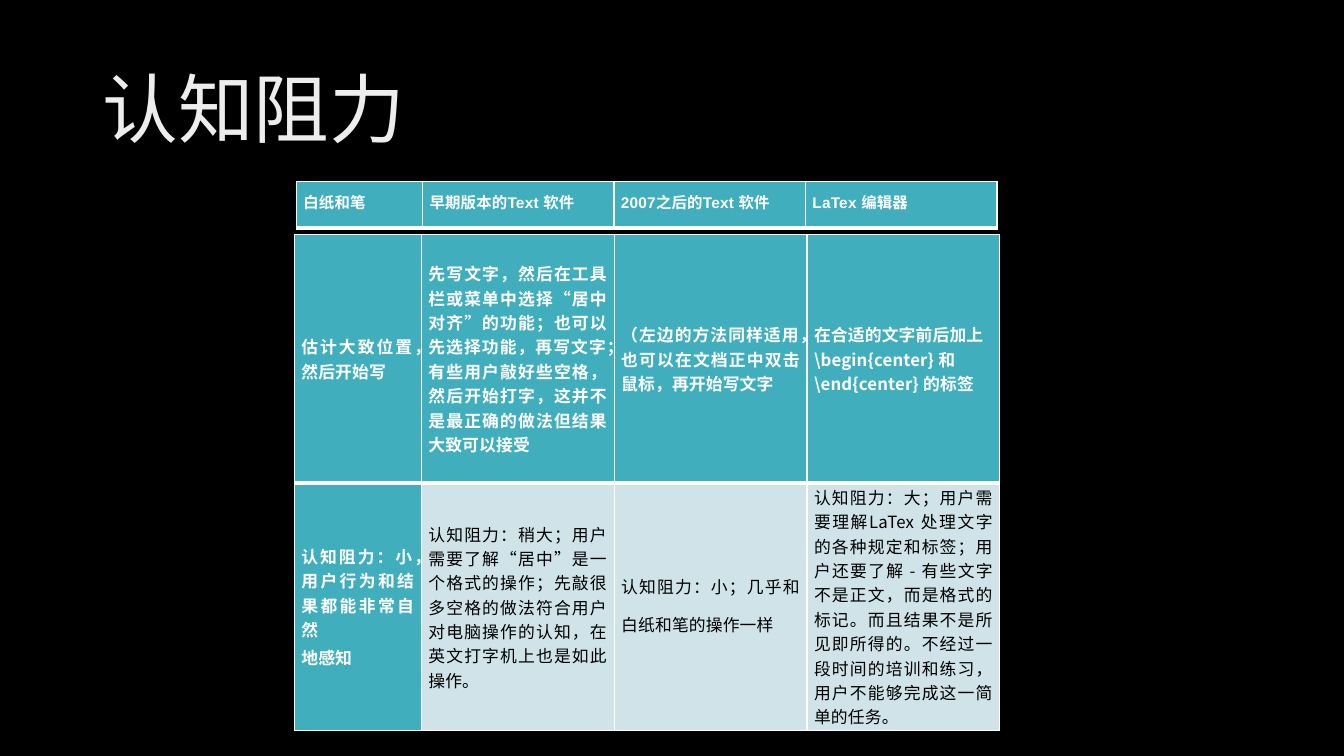
"""Builds the slide that compares the cognitive friction of four writing tools."""
from dataclasses import dataclass

import lxml.etree
import pptx
import pptx.dml.color
import pptx.enum.text
import pptx.oxml.ns
import pptx.util


@dataclass(frozen=True)
class Theme:
    background: str = "000000"
    title: str = "EDEDED"
    white: str = "FFFFFF"
    black: str = "000000"
    teal: str = "41AEBD"
    pale: str = "CFE3E8"
    title_font: str = "Calibri"
    header_font: str = "Arial"
    body_font: str = "Noto Sans CJK SC"
    title_size: float = 54
    header_size: float = 11
    body_size: float = 12
    spacer_size: float = 20
    thin: float = 1
    thick: float = 3
    cell_inset: float = 0.07


@dataclass(frozen=True)
class CellStyle:
    font: str
    size: float
    color: str
    fill: str
    bold: bool
    gap: float
    line_spacing: float = None


THEME = Theme()
HEADER = CellStyle(THEME.header_font, THEME.header_size, THEME.white, THEME.teal, True, 2, 12)
STRONG = CellStyle(THEME.body_font, THEME.body_size, THEME.white, THEME.teal, True, 1.5)
PLAIN = CellStyle(THEME.body_font, THEME.body_size, THEME.black, THEME.pale, False, 1.5)
JUSTIFY = pptx.enum.text.PP_ALIGN.JUSTIFY
LEFT = pptx.enum.text.PP_ALIGN.LEFT
MIDDLE = pptx.enum.text.MSO_ANCHOR.MIDDLE
FIRST_COLUMN_SHARE = 0.18

TOOLS = ["白纸和笔", "早期版本的Text 软件", "2007之后的Text 软件", "LaTex 编辑器"]
METHODS = [
    "估计大致位置，然后开始写",
    "先写文字，然后在工具栏或菜单中选择“居中对齐”的功能；也可以先选择功能，再写文字；"
    "有些用户敲好些空格，然后开始打字，这并不是最正确的做法但结果大致可以接受",
    "（左边的方法同样适用，也可以在文档正中双击鼠标，再开始写文字",
    "在合适的文字前后加上 \\begin{center} 和 \\end{center} 的标签",
]
FRICTION = [
    "认知阻力：小，用户行为和结果都能非常自然\n地感知",
    "认知阻力：稍大；用户需要了解“居中”是一个格式的操作；先敲很多空格的做法符合用户"
    "对电脑操作的认知，在英文打字机上也是如此操作。",
    "认知阻力：小；几乎和白纸和笔的操作一样",
    "认知阻力：大；用户需要理解LaTex 处理文字的各种规定和标签；用户还要了解 - "
    "有些文字不是正文，而是格式的标记。而且结果不是所见即所得的。"
    "不经过一段时间的培训和练习，用户不能够完成这一简单的任务。",
]


def rgb(color):
    return pptx.dml.color.RGBColor.from_string(color)


class SlideBuilder:
    def __init__(self, presentation, theme):
        self.theme = theme
        self.column = presentation.slide_width / 100
        self.row = presentation.slide_height / 100
        self.slide = presentation.slides.add_slide(presentation.slide_layouts[6])
        self.slide.background.fill.solid()
        self.slide.background.fill.fore_color.rgb = rgb(theme.background)

    def box(self, left, top, width, height):
        return (round(left * self.column), round(top * self.row),
                round(width * self.column), round(height * self.row))

    def style_font(self, paragraph, name, size, color, bold=False, tracking=0):
        font = paragraph.font
        font.name, font.size, font.bold = name, pptx.util.Pt(size), bold
        font.color.rgb = rgb(color)
        properties = font._element
        properties.set("spc", str(tracking))
        east_asian = lxml.etree.SubElement(properties, pptx.oxml.ns.qn("a:ea"))
        east_asian.set("typeface", self.theme.body_font)

    def title(self, text, *place):
        frame = self.slide.shapes.add_textbox(*self.box(*place)).text_frame
        frame.word_wrap = True
        frame.vertical_anchor = MIDDLE
        paragraph = frame.paragraphs[0]
        paragraph.text = text
        paragraph.line_spacing = 0.9
        self.style_font(paragraph, self.theme.title_font, self.theme.title_size, self.theme.title)

    def border(self, cell, side, width):
        properties = cell._tc.get_or_add_tcPr()
        line = lxml.etree.SubElement(properties, pptx.oxml.ns.qn(f"a:ln{side}"))
        line.set("w", str(pptx.util.Pt(width)))
        fill = lxml.etree.SubElement(line, pptx.oxml.ns.qn("a:solidFill"))
        lxml.etree.SubElement(fill, pptx.oxml.ns.qn("a:srgbClr")).set("val", self.theme.white)

    def cell(self, cell, text, style, alignment, borders):
        for side, width in borders.items():
            self.border(cell, side, width)
        cell.fill.solid()
        cell.fill.fore_color.rgb = rgb(style.fill)
        cell.vertical_anchor = MIDDLE
        cell.margin_left = cell.margin_right = pptx.util.Inches(self.theme.cell_inset)
        cell.margin_top = cell.margin_bottom = 0
        cell.text = text
        for index, paragraph in enumerate(cell.text_frame.paragraphs):
            paragraph.alignment = alignment
            paragraph.space_before = pptx.util.Pt(style.gap if index else 0)
            paragraph.space_after = pptx.util.Pt(style.gap)
            if style.line_spacing:
                paragraph.line_spacing = pptx.util.Pt(style.line_spacing)
            self.style_font(paragraph, style.font, style.size, style.color, style.bold, 10)

    def table(self, rows, styles, left_aligned, bottoms, *place):
        left, top, width, height = self.box(*place)
        columns = len(rows[0])
        table = self.slide.shapes.add_table(len(rows), columns, left, top, width, height).table
        table.first_row = table.horz_banding = False
        first = round(width * FIRST_COLUMN_SHARE)
        for index, column in enumerate(table.columns):
            column.width = (width - first) // (columns - 1) if index else first
        thin = self.theme.thin
        for row, texts in enumerate(rows):
            table.rows[row].height = height // len(rows)
            above = bottoms[row - 1] if row else thin
            borders = {"L": thin, "R": thin, "T": above, "B": bottoms[row]}
            for column, text in enumerate(texts):
                alignment = LEFT if (row, column) in left_aligned else JUSTIFY
                self.cell(table.cell(row, column), text, styles[row][column], alignment, borders)
        return table

    def spacer(self, cell):
        run = cell.text_frame.paragraphs[0].add_run()
        run.text = " "
        run.font.size = pptx.util.Pt(self.theme.spacer_size)


def main():
    presentation = pptx.Presentation()
    presentation.slide_width = pptx.util.Inches(13.33)
    presentation.slide_height = pptx.util.Inches(7.5)
    builder = SlideBuilder(presentation, THEME)
    builder.title("认知阻力", 6.9, 5.33, 86.25, 19.33)
    builder.table([TOOLS], [[HEADER] * 4], set(), [THEME.thick], 22.05, 24, 52.13, 6.13)
    comparison = builder.table([METHODS, FRICTION], [[STRONG] * 4, [STRONG] + [PLAIN] * 3],
                               {(0, 3)}, [THEME.thick, THEME.thin], 21.9, 31.07, 52.5, 65.6)
    builder.spacer(comparison.cell(1, 2))
    presentation.save("out.pptx")


if __name__ == "__main__":
    main()
